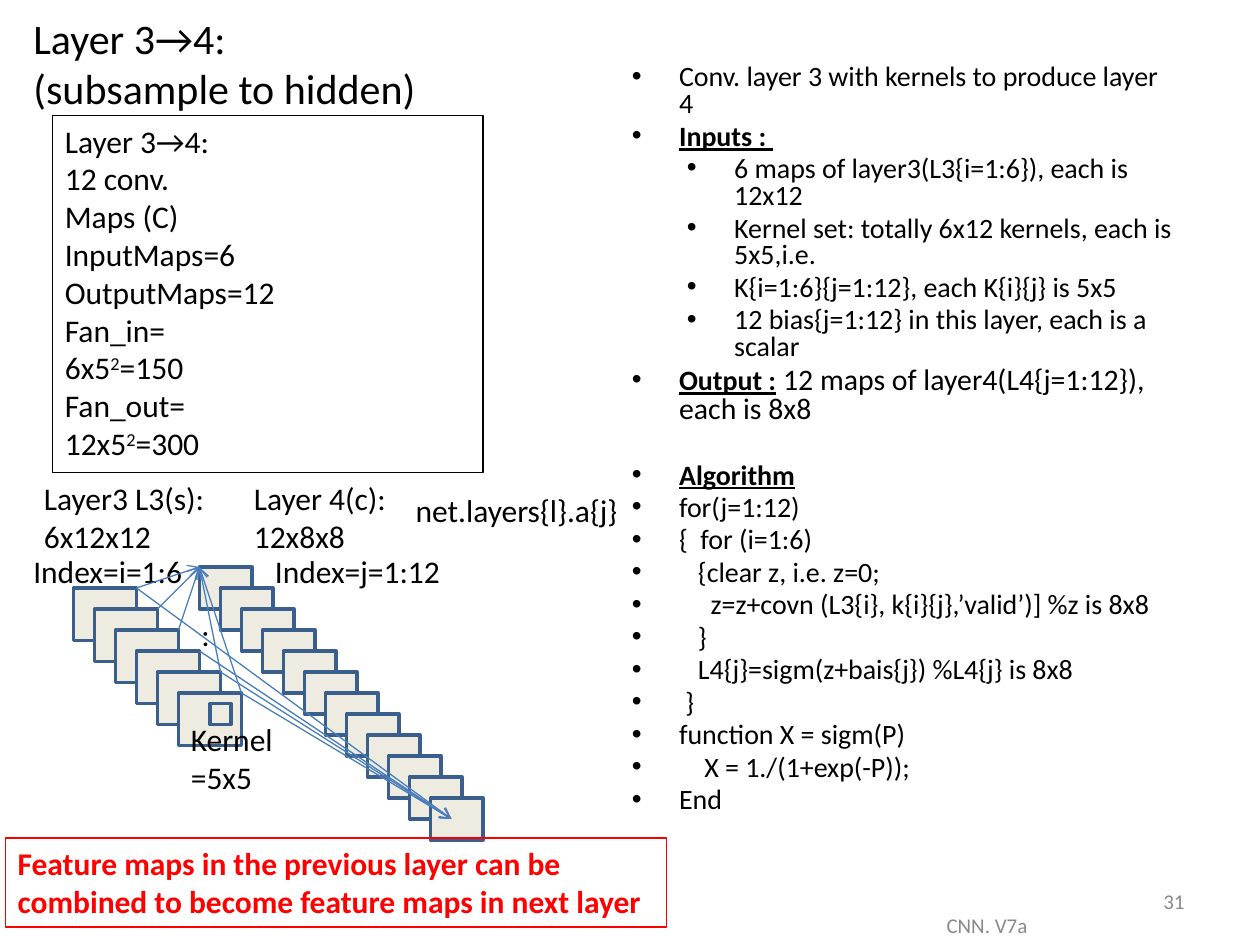
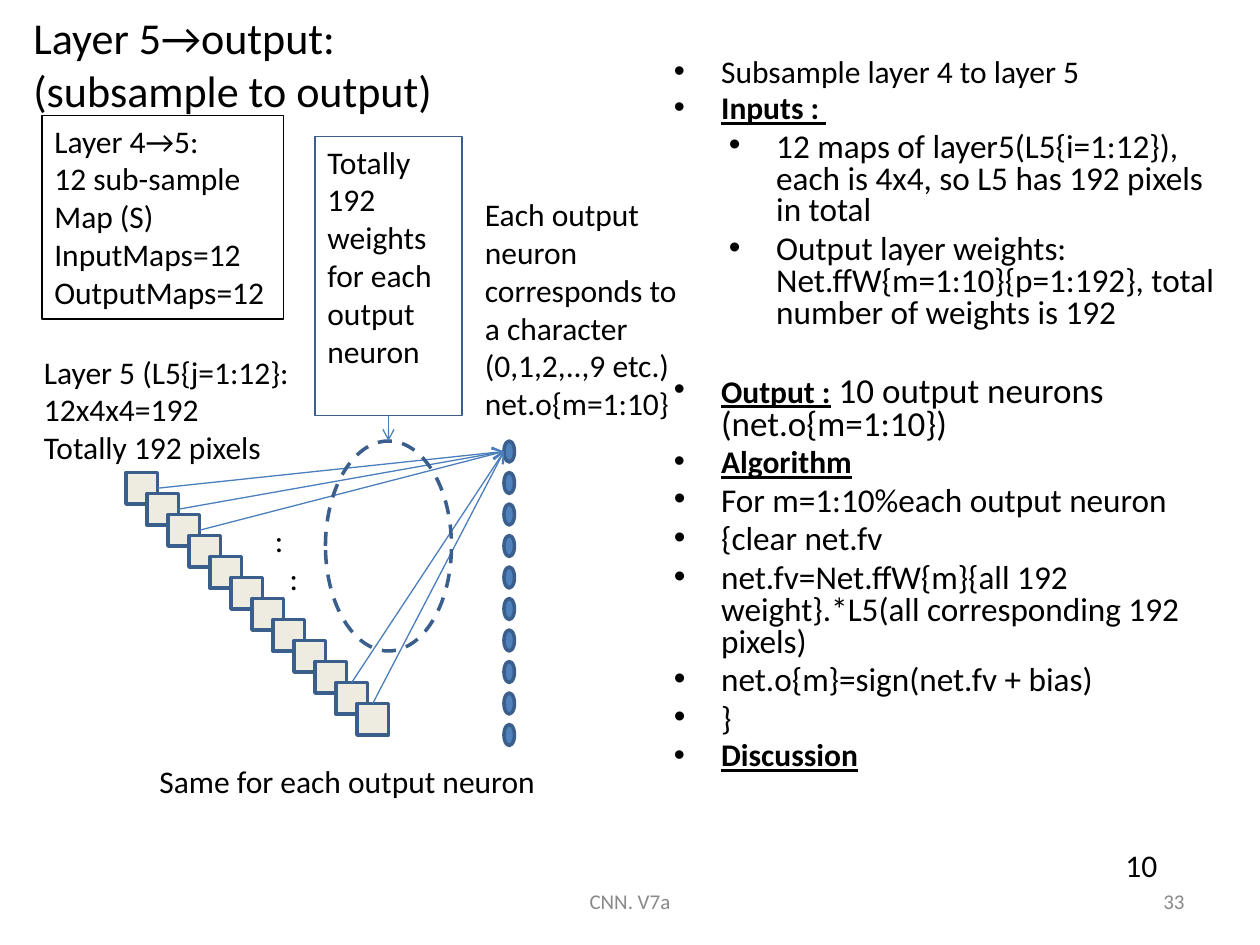
from lxml.etree import SubElement
from pptx import Presentation
from pptx.dml.color import RGBColor
from pptx.enum.dml import MSO_LINE
from pptx.enum.shapes import MSO_CONNECTOR, MSO_SHAPE as Kind
from pptx.enum.text import MSO_ANCHOR as Anchor, PP_ALIGN as Align
from pptx.oxml.ns import qn
from pptx.util import Inches, Pt

# Shared look: the slide is a grid of 120 columns by 90 rows
COLS, ROWS = 120, 90
WIDE, HIGH = Inches(10), Inches(7.5)
FONT = "Calibri"
INK = {"text": "000000", "foot": "898989", "map": "EEECE1", "edge": "3A5F8C",
       "cell": "4F81BD", "link": "4B7EBC", "alert": "FF0000"}
FOOT = "CNN. V7a"
STEP = 2  # offset between stacked maps, in grid cells


def col(n):
    return round(WIDE * n / COLS)


def row(n):
    return round(HIGH * n / ROWS)


def place(x, y, w, h):
    return col(x), row(y), col(w), row(h)


def tint(name):
    return RGBColor.from_string(INK[name])


# Text
def put(para, text, size=18, ink="text", bold=False, under=False, base=0):
    run = para.add_run()
    run.text = text
    font = run.font
    font.name, font.size = FONT, Pt(size)
    font.bold, font.underline = bold, under
    font.color.rgb = tint(ink)
    if base:
        run._r.get_or_add_rPr().set("baseline", str(base * 1000))


def paras(frame, items):
    """Yield one paragraph per item, using the first one that exists."""
    for i, item in enumerate(items):
        yield (frame.add_paragraph() if i else frame.paragraphs[0]), item


def write(shape, lines, **style):
    """Fill a shape with lines; a ^ marks one raised digit."""
    frame = shape.text_frame
    frame.word_wrap = True
    frame.vertical_anchor = Anchor.TOP
    for para, line in paras(frame, lines):
        para.alignment = Align.LEFT
        stem, mark, rest = line.partition("^")
        put(para, stem, **style)
        if mark:
            put(para, rest[0], base=30, **style)
            put(para, rest[1:], **style)


def label(slide, cells, *lines):
    text = slide.shapes.add_textbox(*place(*cells))
    write(text, lines)
    return text


def title(slide, first, second, size):
    frame = slide.shapes.add_textbox(*place(2, 0, 108, 12)).text_frame
    frame.word_wrap = True
    frame.vertical_anchor = Anchor.MIDDLE
    para = frame.paragraphs[0]
    put(para, first, size)
    para.add_line_break()
    put(para, second, size)


def small(slide, cells, text, align):
    frame = slide.shapes.add_textbox(*place(*cells)).text_frame
    frame.word_wrap = True
    frame.vertical_anchor = Anchor.MIDDLE
    frame.paragraphs[0].alignment = align
    put(frame.paragraphs[0], text, 12, "foot")


def footer(slide, x, y, page):
    small(slide, (x, y, 38, 4.8), FOOT, Align.CENTER)
    small(slide, (86, 83.4, 28, 4.8), page, Align.RIGHT)


def head(text, size):
    return text, size, True


def notes(slide, x, y, items):
    """Bulleted column; an item is (level, runs) or (level, runs, gap)."""
    frame = slide.shapes.add_textbox(*place(x, y, 54, 84 - y)).text_frame
    frame.word_wrap = True
    for i, (para, (level, runs, *gap)) in enumerate(paras(frame, items)):
        props = para._p.get_or_add_pPr()
        props.set("marL", str(col(4.5 if level == 0 else 9.75)))
        props.set("indent", str(-col(4.5)))
        SubElement(props, qn("a:buFont"), typeface="Arial")
        SubElement(props, qn("a:buChar"), char="•")
        para.level = level
        para.line_spacing = 0.8
        space = gap[0] if gap else 0.2 * runs[0][1]
        para.space_before = Pt(space if i else 0)
        for text, size, *key in runs:
            put(para, text, size, bold=bool(key), under=bool(key))


# Shapes
def box(slide, cells, fill=None, edge="edge", width=2, kind=Kind.RECTANGLE):
    shape = slide.shapes.add_shape(kind, *place(*cells))
    shape.shadow.inherit = False
    if fill:
        shape.fill.solid()
        shape.fill.fore_color.rgb = tint(fill)
    else:
        shape.fill.background()
    shape.line.color.rgb = tint(edge)
    shape.line.width = Pt(width)
    return shape


def panel(slide, cells, lines, edge="text", **style):
    shape = box(slide, cells, edge=edge, width=0.75)
    write(shape, lines, **style)
    return shape


def stack(slide, x, y, w, h, count):
    """Maps that run down a diagonal."""
    return [box(slide, (x + STEP * i, y + STEP * i, w, h), "map")
            for i in range(count)]


def arrow(slide, start, end, source=None, side=3):
    link = slide.shapes.add_connector(
        MSO_CONNECTOR.STRAIGHT, col(start[0]), row(start[1]),
        col(end[0]), row(end[1]))
    if source is not None:
        link.begin_connect(source, side)
    link.line.color.rgb = tint("link")
    link.line.width = Pt(0.75)
    SubElement(link.line._get_or_add_ln(), qn("a:tailEnd"), type="arrow")
    SubElement(link._element.spPr, qn("a:effectLst"))


# Slides
def hidden(slide):
    title(slide, "Layer 3→4:", "(subsample to hidden)", 24)
    footer(slide, 75, 85.7, "31")
    stack(slide, 7, 56, 6, 5, 6)
    stack(slide, 19, 54, 5, 4, 12)
    panel(slide, (5, 11, 41, 34),
          ["Layer 3→4:", "12 conv.", "Maps (C)", "InputMaps=6",
           "OutputMaps=12", "Fan_in=", "6x5^2=150", "Fan_out=", "12x5^2=300"])
    label(slide, (17, 68, 12, 8.5), "Kernel", "=5x5")
    box(slide, (20, 67, 2, 2), "map")
    label(slide, (23, 45, 17, 8.5), "Layer 4(c):", "12x8x8")
    label(slide, (3, 45, 19, 8.5), "Layer3 L3(s):", "6x12x12")
    label(slide, (2, 52, 19, 4.8), "Index=i=1:6")
    label(slide, (25, 52, 21, 4.8), "Index=j=1:12")
    label(slide, (18, 58, 4, 4.8), ":")
    label(slide, (38.4, 46.2, 23, 4.8), "net.layers{l}.a{j}")

    # Map corners feed the first and the last map of layer 4
    for end, used in (((19, 54), (0, 1, 2, 4, 5)), ((43, 78), (0, 3, 4, 5))):
        for i in used:
            arrow(slide, (13 + STEP * i, 56 + STEP * i), end)

    notes(slide, 59, 5.64, [
        (0, [("Conv. layer 3 with kernels to produce layer 4", 16)]),
        (0, [head("Inputs : ", 16)]),
        *[(1, [(text, 16)]) for text in (
            "6 maps of layer3(L3{i=1:6}), each is 12x12",
            "Kernel set: totally 6x12 kernels, each is 5x5,i.e.",
            "K{i=1:6}{j=1:12}, each K{i}{j} is 5x5",
            "12 bias{j=1:12} in this layer, each is a scalar")],
        (0, [head("Output :", 16),
             (" 12 maps of layer4(L4{j=1:12}), each is 8x8", 17)]),
        (0, [head("Algorithm", 16)], 22),
        *[(0, [(code, 16)]) for code in (
            "for(j=1:12)",
            "{  for (i=1:6)",
            "   {clear z, i.e. z=0;",
            "     z=z+covn (L3{i}, k{i}{j},’valid’)] %z is 8x8",
            "   }",
            "   L4{j}=sigm(z+bais{j}) %L4{j} is 8x8",
            " }",
            "function X = sigm(P)",
            "    X = 1./(1+exp(-P));",
            "End")],
    ])
    panel(slide, (0.5, 79.8, 63, 8.5),
          ["Feature maps in the previous layer can be combined "
           "to become feature maps in next layer"],
          edge="alert", ink="alert", bold=True)


def output(slide):
    title(slide, "Layer 5→output:", "(subsample to output)", 25.2)
    footer(slide, 41, 83.4, "33")
    maps = stack(slide, 12, 45, 3, 3, 12)
    for i in range(10):
        box(slide, (48, 42 + 3 * i, 1, 2), "cell", kind=Kind.OVAL)
    label(slide, (45, 18, 22, 23),
          "Each output neuron corresponds to a character (0,1,2,..,9 etc.)",
          "net.o{m=1:10}")
    panel(slide, (4, 11, 23, 19.4),
          ["Layer 4→5:", "12 sub-sample", "Map (S)", "InputMaps=12",
           "OutputMaps=12"])
    label(slide, (3, 33, 28, 12), "Layer 5 (L5{j=1:12}:", "12x4x4=192",
          "Totally 192 pixels")
    label(slide, (106, 80, 6, 4.8), "10")
    notes(slide, 63, 5.04, [
        (0, [("Subsample layer 4 to layer 5", 18)]),
        (0, [head("Inputs : ", 18)]),
        (1, [("12 maps of layer5(L5{i=1:12}), each is 4x4, "
              "so L5 has 192 pixels in total", 19)]),
        (1, [("Output layer weights: Net.ffW{m=1:10}{p=1:192}, "
              "total number of weights is 192", 19)]),
        (0, [head("Output :", 18),
             (" 10 output neurons (net.o{m=1:10})", 20)], 26),
        (0, [head("Algorithm", 18)]),
        *[(0, [(code, 19)]) for code in (
            "For m=1:10%each output neuron",
            "{clear net.fv",
            "net.fv=Net.ffW{m}{all 192 weight}.*"
            "L5(all corresponding 192 pixels)",
            "net.o{m}=sign(net.fv + bias)",
            "}")],
        (0, [head("Discussion", 18)]),
    ])

    # Every map feeds the first neuron
    for i, side in ((0, 3), (1, 3), (2, 3), (11, 0), (10, 0)):
        arrow(slide, (12, 45), (48, 43), maps[i], side)
    dots = label(slide, (25, 49, 5, 8.5), ":", ":")
    dots.text_frame.paragraphs[1]._p.get_or_add_pPr().set("marL", str(col(1.4)))

    # Weights between the maps and the neurons
    box(slide, (31, 42, 12, 20), kind=Kind.OVAL).line.dash_style = MSO_LINE.DASH
    load = panel(slide, (30, 13, 14, 26.6),
                 ["Totally", "192 weights for each output neuron"], "edge")
    arrow(slide, (37, 39.6), (37, 42), load, 2)
    label(slide, (14, 72, 40, 4.8), "Same for each output neuron")


def main():
    deck = Presentation()
    deck.slide_width, deck.slide_height = WIDE, HIGH
    for build in (hidden, output):
        build(deck.slides.add_slide(deck.slide_layouts[6]))
    deck.save("out.pptx")


if __name__ == "__main__":
    main()
